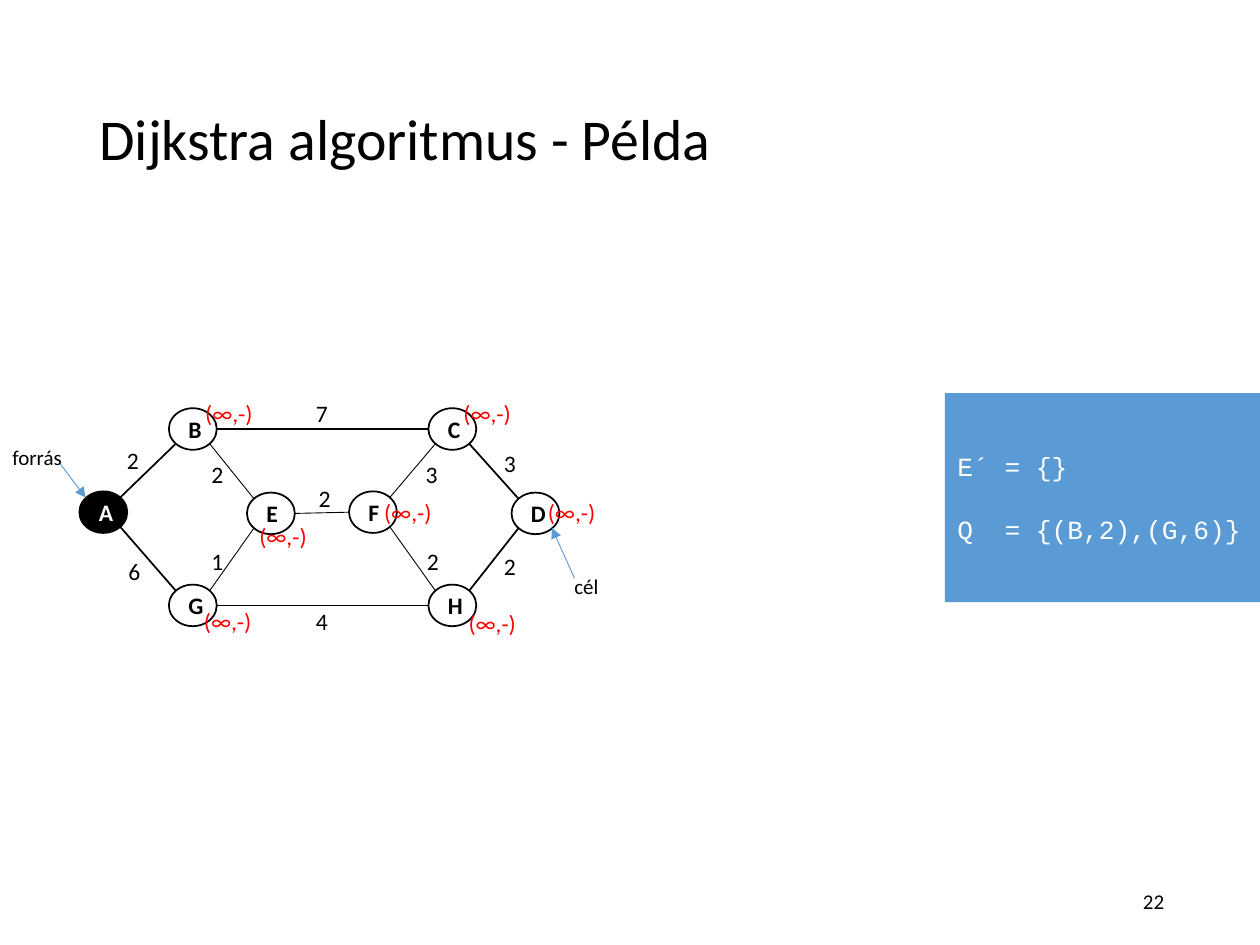
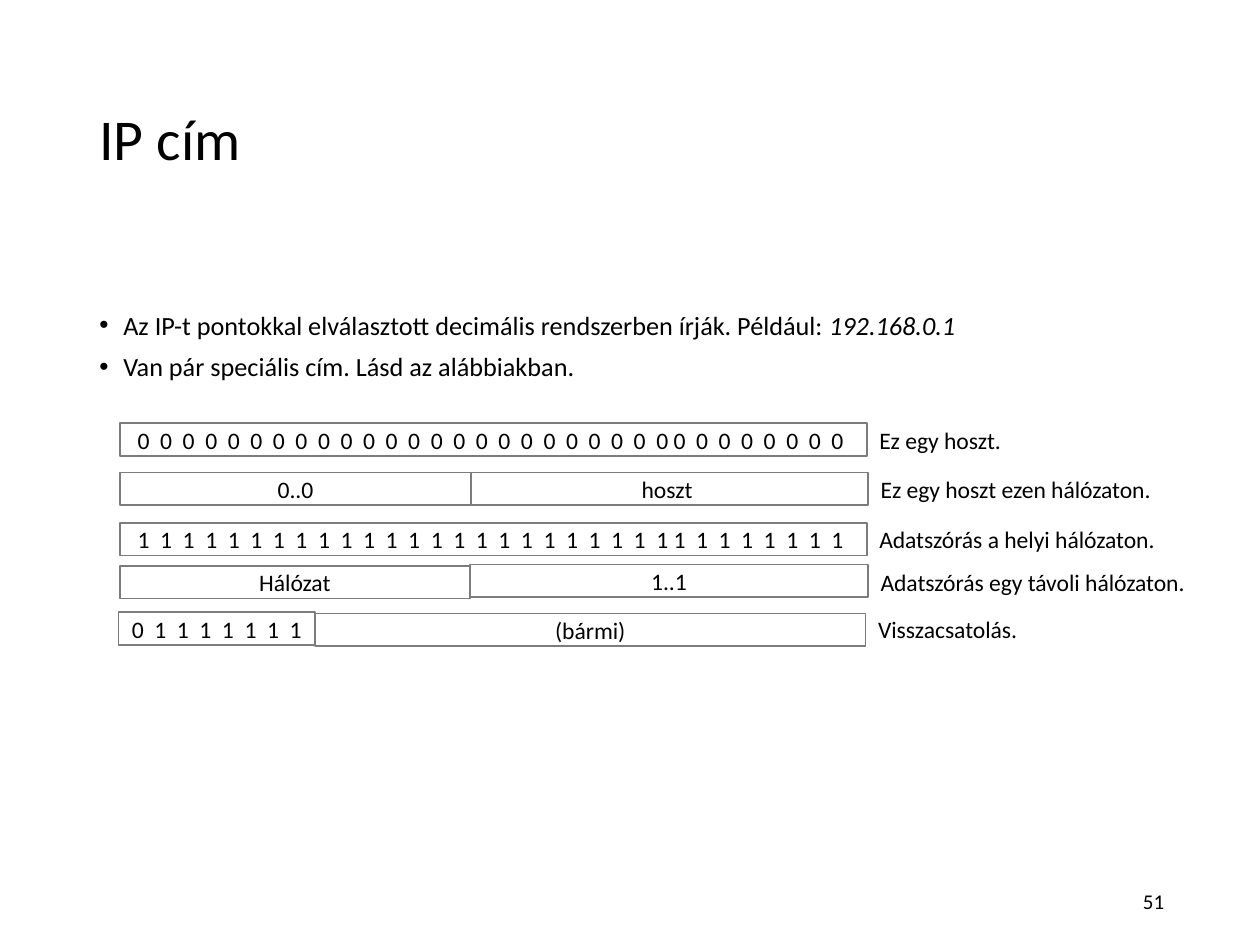
from dataclasses import dataclass

from lxml import etree
from pptx import Presentation
from pptx.dml.color import RGBColor
from pptx.enum.shapes import MSO_CONNECTOR, MSO_SHAPE
from pptx.enum.text import MSO_ANCHOR, PP_ALIGN
from pptx.oxml.ns import qn
from pptx.util import Inches, Pt

LEFT, CENTER, RIGHT = PP_ALIGN.LEFT, PP_ALIGN.CENTER, PP_ALIGN.RIGHT
TOP, MIDDLE = MSO_ANCHOR.TOP, MSO_ANCHOR.MIDDLE
OVAL, RECTANGLE = MSO_SHAPE.OVAL, MSO_SHAPE.RECTANGLE
STRAIGHT = MSO_CONNECTOR.STRAIGHT


@dataclass(frozen=True)
class Theme:
    font: str = "Calibri"
    code_font: str = "Courier New"
    black: RGBColor = RGBColor(0, 0, 0)
    white: RGBColor = RGBColor(255, 255, 255)
    red: RGBColor = RGBColor(255, 0, 0)
    blue: RGBColor = RGBColor(0x5B, 0x9B, 0xD5)
    gray: RGBColor = RGBColor(0x7C, 0x7C, 0x7C)
    title_size: float = 33
    body_size: float = 15
    label_size: float = 13.5
    small_size: float = 12
    thick: float = 1
    thin: float = 0.5


THEME = Theme()

NODE_WIDTH, NODE_HEIGHT = 0.38, 0.33
LABEL_HEIGHT = 0.33
BAR_HEIGHT = 0.26

NODES = {
    "A": (0.63, 0.78), "B": (1.34, 0.12), "G": (1.34, 1.52), "C": (3.4, 0.12),
    "H": (3.4, 1.52), "D": (4.06, 0.79), "E": (1.96, 0.79), "F": (2.77, 0.78),
}
EDGES = [
    ("A", "B", "2", 0.91, 0.37), ("A", "G", "6", 0.92, 1.25),
    ("B", "C", "7", 2.41, 0), ("G", "H", "4", 2.41, 1.65),
    ("H", "D", "2", 3.9, 1.21), ("C", "D", "3", 3.9, 0.39),
    ("B", "E", "2", 1.58, 0.48), ("G", "E", "1", 1.58, 1.17),
    ("E", "F", "2", 2.43, 0.67), ("F", "C", "3", 3.28, 0.48),
    ("F", "H", "2", 3.29, 1.17),
]
INNER_NODES = {"E", "F"}
DISTANCE_LABELS = [
    (2.95, 0.78), (1.96, 0.97), (1.52, 1.65), (3.58, 0),
    (4.25, 0.78), (3.62, 1.66), (1.53, 0),
]
POINTERS = [
    ("forrás", (0, 0.36), 0.6, (0.47, 0.55), (0.68, 0.83)),
    ("cél", (4.46, 1.38), 0.55, (4.56, 1.47), (4.38, 1.07)),
]


def spaced_bits(bits):
    return "  ".join(bits)


def full_address(bit):
    return f"{spaced_bits(bit * 24)} {spaced_bits(bit * 8)} "


ADDRESS_ROWS = [
    (0.01, 0.03, [(full_address("0"), 5.93, 0)], "Ez egy hoszt.", 1.18),
    (0.01, 0.42, [("0..0", 2.79, 0), ("hoszt ", 3.15, 0)],
     "Ez egy hoszt ezen hálózaton.", 2.38),
    (0.01, 0.82, [(full_address("1"), 5.93, 0)],
     "Adatszórás a helyi hálózaton.", 2.42),
    (0.01, 1.16, [("Hálózat", 2.78, 0), ("1..1", 3.16, -0.01)],
     "Adatszórás egy távoli hálózaton.", 2.65),
    (0, 1.53, [(spaced_bits("01111111"), 1.56, 0), ("(bármi)", 4.37, 0.01)],
     "Visszacsatolás.", 1.32),
]


def style(paragraph, size, color=THEME.black, align=LEFT, bold=False, font=THEME.font):
    paragraph.alignment = align
    paragraph.font.name = font
    paragraph.font.size = Pt(size)
    paragraph.font.color.rgb = color
    paragraph.font.bold = bold


def add_text(slide, box, text, size, color=THEME.black, align=LEFT, anchor=TOP, wrap=False):
    frame = slide.shapes.add_textbox(*map(Inches, box)).text_frame
    frame.word_wrap = wrap
    frame.vertical_anchor = anchor
    paragraph = frame.paragraphs[0]
    paragraph.text = text
    style(paragraph, size, color, align)
    return frame


def add_box(slide, kind, box, fill=None, outline=None):
    shape = slide.shapes.add_shape(kind, *map(Inches, box))
    shape.shadow.inherit = False
    if fill is None:
        shape.fill.background()
    else:
        shape.fill.solid()
        shape.fill.fore_color.rgb = fill
    if outline is None:
        shape.line.fill.background()
    else:
        shape.line.color.rgb = outline
        shape.line.width = Pt(THEME.thick)
    shape.text_frame.word_wrap = True
    shape.text_frame.vertical_anchor = MIDDLE
    return shape


def add_line(slide, start, end, color, width, arrow=False):
    connector = slide.shapes.add_connector(STRAIGHT, *map(Inches, (*start, *end)))
    connector.line.color.rgb = color
    connector.line.width = Pt(width)
    properties = connector.element.spPr
    if arrow:
        etree.SubElement(properties.find(qn("a:ln")), qn("a:tailEnd"), type="triangle")
    etree.SubElement(properties, qn("a:effectLst"))


def add_page(presentation, title, number):
    slide = presentation.slides.add_slide(presentation.slide_layouts[6])
    heading = add_text(slide, (0.69, 0.4, 8.62, 1.45), title, THEME.title_size,
                       anchor=MIDDLE, wrap=True)
    heading.paragraphs[0].line_spacing = 0.9
    footer = add_text(slide, (7.06, 6.95, 2.25, 0.4), str(number), THEME.small_size,
                      align=RIGHT, anchor=MIDDLE, wrap=True)
    footer.margin_left = footer.margin_right = Inches(0.07)
    footer.margin_top = footer.margin_bottom = Inches(0.04)
    return slide


def edge_points(start, end):
    dx, dy = end[0] - start[0], end[1] - start[1]
    horizontal = 1 if dx > 0 else -1
    vertical = 1 if dy > 0 else -1
    if abs(dy) < 0.1:
        reach_x, reach_y = horizontal * NODE_WIDTH / 2, 0
    else:
        diagonal = 0.5 ** 0.5
        reach_x = horizontal * diagonal * NODE_WIDTH / 2
        reach_y = vertical * diagonal * NODE_HEIGHT / 2
    return ((start[0] + reach_x, start[1] + reach_y),
            (end[0] - reach_x, end[1] - reach_y))


def add_graph(slide, left, top):
    def place(x, y):
        return left + x, top + y

    centers = {}
    for name, position in NODES.items():
        x, y = place(*position)
        centers[name] = (x + NODE_WIDTH / 2, y + NODE_HEIGHT / 2)
        is_source = name == "A"
        node = add_box(slide, OVAL, (x, y, NODE_WIDTH, NODE_HEIGHT),
                       THEME.black if is_source else THEME.white, THEME.black)
        paragraph = node.text_frame.paragraphs[0]
        paragraph.text = name
        style(paragraph, THEME.label_size, THEME.white if is_source else THEME.black,
              CENTER, bold=True)

    for start, end, weight, x, y in EDGES:
        width = THEME.thin if INNER_NODES & {start, end} else THEME.thick
        add_line(slide, *edge_points(centers[start], centers[end]), THEME.black, width)
        add_text(slide, (*place(x, y), 0.3, LABEL_HEIGHT), weight, THEME.label_size)

    for position in DISTANCE_LABELS:
        add_text(slide, (*place(*position), 0.58, LABEL_HEIGHT), "(∞,-)",
                 THEME.label_size, THEME.red)

    for text, position, width, start, end in POINTERS:
        add_line(slide, place(*start), place(*end), THEME.blue, THEME.thin, arrow=True)
        add_text(slide, (*place(*position), width, 0.3), text, THEME.small_size)


def add_state_panel(slide, box):
    frame = add_box(slide, RECTANGLE, box, THEME.blue).text_frame
    frame.text = "E´ = {}\nQ  = {(B,2),(G,6)}"
    for paragraph in frame.paragraphs:
        style(paragraph, THEME.body_size, THEME.white, font=THEME.code_font)
    frame.paragraphs[1].space_before = Pt(18)


def add_bullets(slide, box, items):
    frame = slide.shapes.add_textbox(*map(Inches, box)).text_frame
    frame.word_wrap = True
    for index, (text, example) in enumerate(items):
        paragraph = frame.add_paragraph() if index else frame.paragraphs[0]
        paragraph.add_run().text = text
        if example:
            run = paragraph.add_run()
            run.text = example
            run.font.italic = True
        style(paragraph, THEME.body_size)
        paragraph.line_spacing = 0.9
        paragraph.space_before = Pt(7.5)
        properties = paragraph._p.get_or_add_pPr()
        properties.set("marL", str(Inches(0.19)))
        properties.set("indent", str(-Inches(0.19)))
        font = etree.Element(qn("a:buFont"), typeface="Arial")
        bullet = etree.Element(qn("a:buChar"), char="•")
        for element in (font, bullet):
            properties.insert_element_before(element, "a:defRPr")


def add_address_rows(slide, left, top):
    for row_left, row_top, cells, label, label_width in ADDRESS_ROWS:
        x, y = left + row_left, top + row_top
        for text, width, shift in cells:
            cell = add_box(slide, RECTANGLE, (x, y + shift, width, BAR_HEIGHT),
                           outline=THEME.gray)
            cell.text_frame.margin_left = cell.text_frame.margin_right = Inches(0.05)
            paragraph = cell.text_frame.paragraphs[0]
            paragraph.text = text
            style(paragraph, THEME.label_size, align=CENTER)
            x += width
        add_text(slide, (x, y - 0.03, label_width, LABEL_HEIGHT), label, THEME.label_size)


def main():
    presentation = Presentation()
    presentation.slide_width = Inches(10)
    presentation.slide_height = Inches(7.5)

    slide = add_page(presentation, "Dijkstra algoritmus - Példa", 22)
    add_graph(slide, 0, 3.12)
    add_state_panel(slide, (7.5, 3.12, 2.5, 1.66))

    slide = add_page(presentation, "IP cím", 51)
    add_bullets(slide, (0.69, 2.43, 8.62, 0.75), [
        ("Az IP-t pontokkal elválasztott decimális rendszerben írják. Például: ",
         "192.168.0.1"),
        ("Van pár speciális cím. Lásd az alábbiakban.", None),
    ])
    add_address_rows(slide, 0.94, 3.33)

    presentation.save("out.pptx")


if __name__ == "__main__":
    main()
